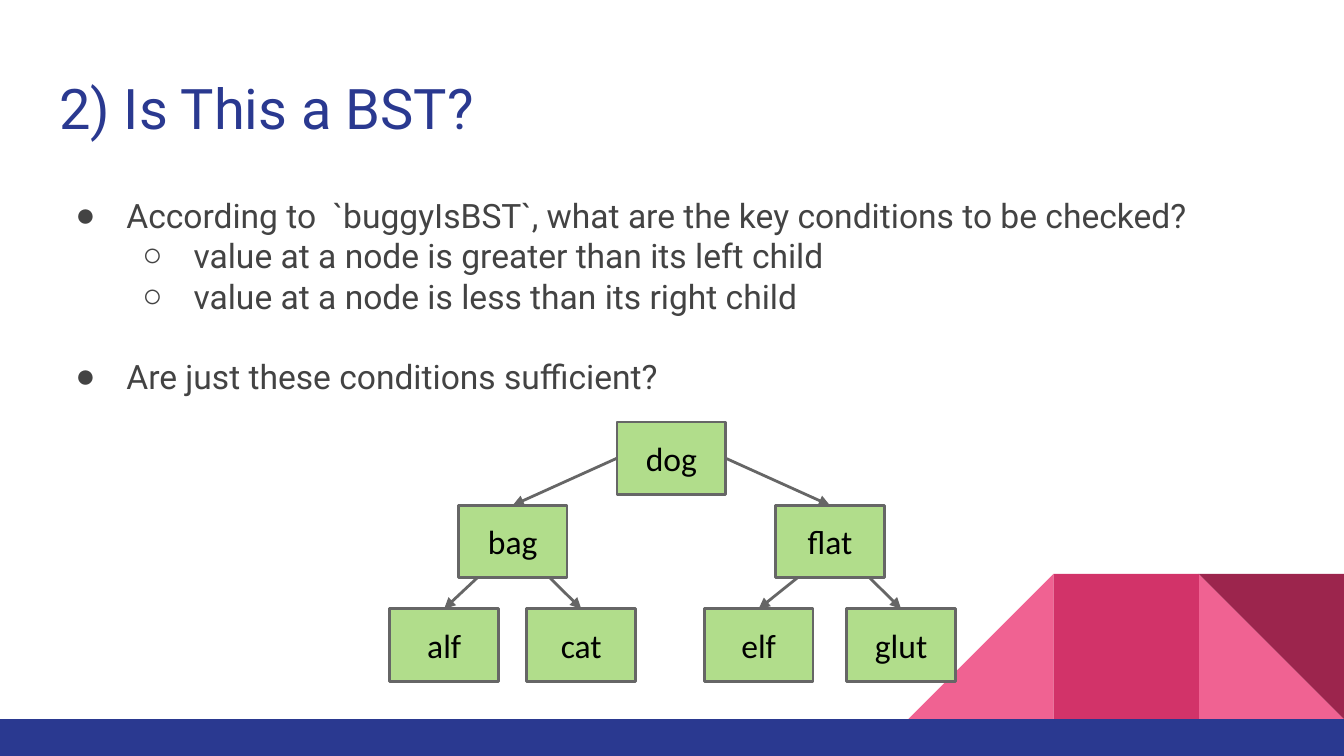
from dataclasses import dataclass

import lxml.etree
import pptx
import pptx.dml.color
import pptx.enum.shapes
import pptx.enum.text
import pptx.oxml.ns
import pptx.util

Inches = pptx.util.Inches
Pt = pptx.util.Pt
MSO_SHAPE = pptx.enum.shapes.MSO_SHAPE
PP_ALIGN = pptx.enum.text.PP_ALIGN
MSO_ANCHOR = pptx.enum.text.MSO_ANCHOR
TOP, LEFT, RIGHT = 0, 1, 3


@dataclass(frozen=True)
class Theme:
    navy: str = "2A3990"
    pink: str = "F06292"
    rose: str = "D23369"
    wine: str = "9C254D"
    body: str = "434343"
    node: str = "B1DD8B"
    outline: str = "666666"
    black: str = "000000"
    text_font: str = "Roboto"
    node_font: str = "Calibri"
    title_size: float = 30
    body_size: float = 18
    line_width: float = 1.5
    inset: float = 0.1


def rgb(color):
    return pptx.dml.color.RGBColor.from_string(color)


def add_xml(parent, tag, **attributes):
    return lxml.etree.SubElement(parent, pptx.oxml.ns.qn(tag), attributes)


class SlideBuilder:
    def __init__(self, slide, theme):
        self.slide = slide
        self.theme = theme

    def style_font(self, paragraph, name, size, color):
        font = paragraph.font
        font.name, font.size = name, Pt(size)
        font.color.rgb = rgb(color)

    def frame(self, shape, anchor):
        frame = shape.text_frame
        frame.word_wrap = True
        frame.auto_size = pptx.enum.text.MSO_AUTO_SIZE.NONE
        frame.vertical_anchor = anchor
        frame.margin_left = frame.margin_right = Inches(self.theme.inset)
        frame.margin_top = frame.margin_bottom = Inches(self.theme.inset)
        return frame

    def place(self, shape, left, top, width, height):
        shape.left, shape.top = Inches(left), Inches(top)
        shape.width, shape.height = Inches(width), Inches(height)

    def title(self, text, *box):
        title = self.slide.shapes.title
        self.place(title, *box)
        frame = self.frame(title, MSO_ANCHOR.TOP)
        frame.text = text
        paragraph = frame.paragraphs[0]
        paragraph.alignment = PP_ALIGN.LEFT
        self.style_font(paragraph, self.theme.text_font, self.theme.title_size, self.theme.navy)

    def bullets(self, items, *box):
        """Fill the body with (level, space before in points, text) items."""
        body = self.slide.placeholders[1]
        self.place(body, *box)
        frame = self.frame(body, MSO_ANCHOR.TOP)
        for index, (level, space, text) in enumerate(items):
            paragraph = frame.add_paragraph() if index else frame.paragraphs[0]
            paragraph.text = text
            paragraph.level = level
            paragraph.space_before = Pt(space)
            properties = paragraph._p.get_or_add_pPr()
            properties.set("marL", str(Inches(0.5 * (level + 1))))
            properties.set("indent", str(Inches(-0.38)))
            bullet_color = add_xml(properties, "a:buClr")
            add_xml(bullet_color, "a:srgbClr", val=self.theme.body)
            add_xml(properties, "a:buChar", char="●○"[level])
            self.style_font(paragraph, self.theme.text_font, self.theme.body_size, self.theme.body)

    def block(self, kind, fill, left, top, width, height, rotation=0, mirrored=False):
        block = self.slide.shapes.add_shape(
            kind, Inches(left), Inches(top), Inches(width), Inches(height))
        block.shadow.inherit = False
        block.fill.solid()
        block.fill.fore_color.rgb = rgb(fill)
        block.line.fill.background()
        block.rotation = rotation
        if mirrored:
            block._element.spPr.xfrm.set("flipH", "1")
        return block

    def node(self, word, left, top):
        node = self.block(MSO_SHAPE.RECTANGLE, self.theme.node, left, top, 0.81, 0.54)
        node.line.color.rgb = rgb(self.theme.outline)
        node.line.width = Pt(self.theme.line_width)
        frame = self.frame(node, MSO_ANCHOR.MIDDLE)
        frame.text = word
        paragraph = frame.paragraphs[0]
        paragraph.alignment = PP_ALIGN.CENTER
        self.style_font(paragraph, self.theme.node_font, self.theme.body_size, self.theme.black)
        return node

    def edge(self, parent, child, side=None, start=(0, 0)):
        """Draw an arrow behind the parent, from its side or from a start point."""
        x, y = start
        edge = self.slide.shapes.add_connector(
            pptx.enum.shapes.MSO_CONNECTOR.STRAIGHT, Inches(x), Inches(y), Inches(x), Inches(y))
        if side is not None:
            edge.begin_connect(parent, side)
        edge.end_connect(child, TOP)
        edge.line.color.rgb = rgb(self.theme.outline)
        edge.line.width = Pt(self.theme.line_width)
        add_xml(edge.line._get_or_add_ln(), "a:tailEnd", type="triangle")
        add_xml(edge._element.spPr, "a:effectLst")
        parent._element.addprevious(edge._element)


def draw_footer(builder):
    theme = builder.theme
    tile, top, middle = 1.08, 4.27, 7.84
    triangle = MSO_SHAPE.RIGHT_TRIANGLE
    right = middle + tile
    builder.block(triangle, theme.pink, right, top, tile, tile)
    builder.block(triangle, theme.pink, middle - tile, top, tile, tile, mirrored=True)
    builder.block(MSO_SHAPE.RECTANGLE, theme.rose, middle, top, tile, tile)
    builder.block(triangle, theme.wine, right, top, tile, tile, rotation=180)
    builder.block(MSO_SHAPE.RECTANGLE, theme.navy, 0, top + tile, 10, 0.28)


def draw_tree(builder):
    levels = [
        (3.14, {"dog": 4.59}),
        (3.76, {"bag": 3.41, "flat": 5.77}),
        (4.53, {"alf": 2.9, "cat": 3.92, "elf": 5.24, "glut": 6.3}),
    ]
    nodes = {word: builder.node(word, left, top)
             for top, words in levels for word, left in words.items()}

    builder.edge(nodes["dog"], nodes["bag"], side=LEFT)
    builder.edge(nodes["dog"], nodes["flat"], side=RIGHT)
    for parent, child, start in [
        ("bag", "alf", (3.7, 4.16)),
        ("bag", "cat", (4.01, 4.22)),
        ("flat", "elf", (6.02, 4.23)),
        ("flat", "glut", (6.4, 4.23)),
    ]:
        builder.edge(nodes[parent], nodes[child], start=start)


def main():
    presentation = pptx.Presentation()
    presentation.slide_width = Inches(10)
    presentation.slide_height = Inches(10) * 9 // 16
    slide = presentation.slides.add_slide(presentation.slide_layouts[1])
    builder = SlideBuilder(slide, Theme())

    draw_footer(builder)
    builder.title("2) Is This a BST?", 0.34, 0.45, 9.32, 0.66)
    builder.bullets([
        (0, 0, "According to  `buggyIsBST`, what are the key conditions to be checked?"),
        (1, 0, "value at a node is greater than its left child"),
        (1, 0, "value at a node is less than its right child"),
        (0, 21.5, "Are just these conditions sufficient?"),
    ], 0.34, 1.35, 9.32, 1.67)
    draw_tree(builder)
    presentation.save("out.pptx")


if __name__ == "__main__":
    main()
